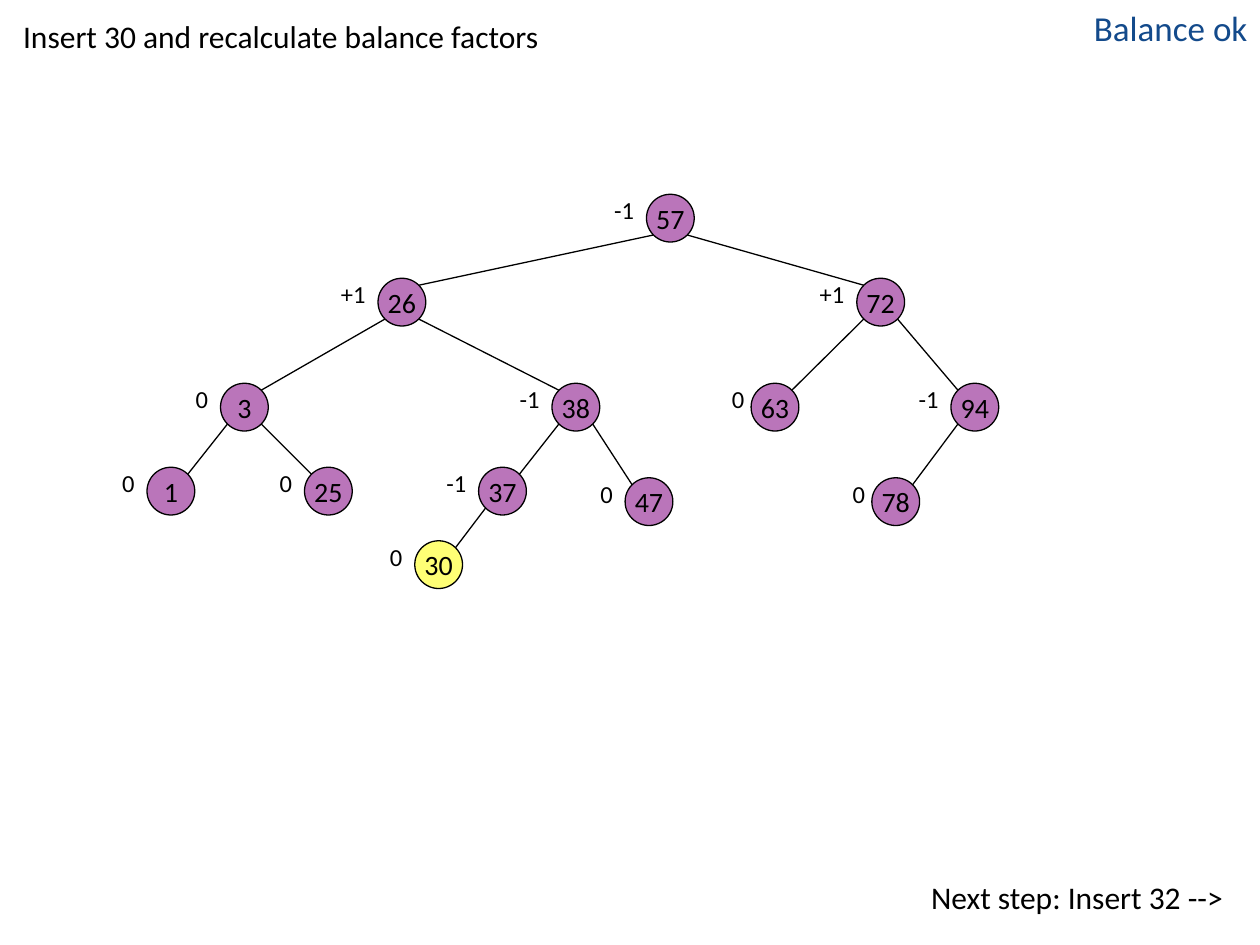
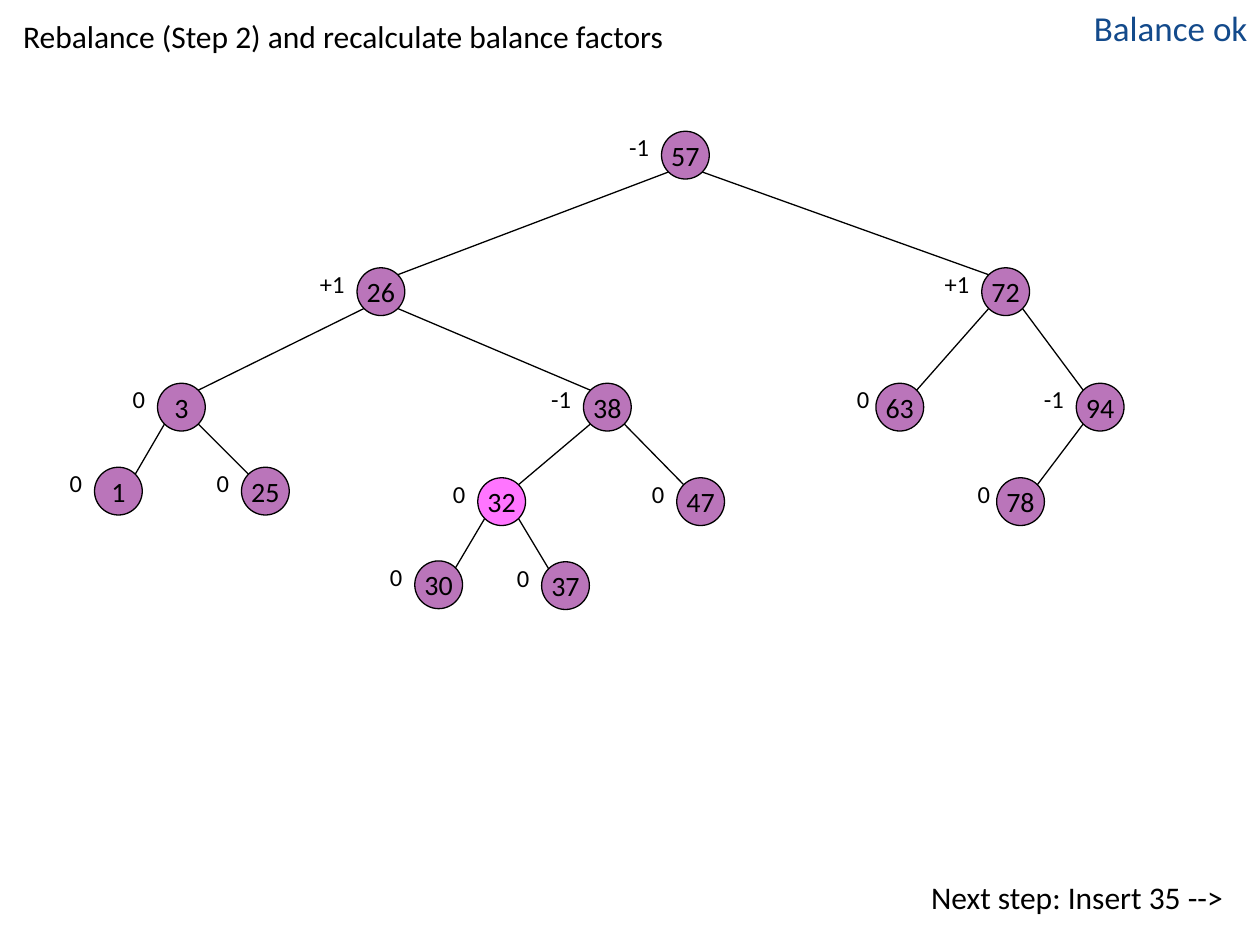
from dataclasses import dataclass

from lxml.etree import SubElement
from pptx import Presentation
from pptx.dml.color import RGBColor
from pptx.enum.shapes import MSO_CONNECTOR, MSO_SHAPE
from pptx.enum.text import MSO_ANCHOR, MSO_AUTO_SIZE, PP_ALIGN
from pptx.oxml.ns import qn
from pptx.util import Pt

BLACK = RGBColor(0x00, 0x00, 0x00)
BLUE = RGBColor(0x13, 0x4A, 0x8B)
PURPLE = RGBColor(0x80, 0x00, 0x80)
YELLOW = RGBColor(0xFF, 0xFF, 0x00)
MAGENTA = RGBColor(0xFF, 0x00, 0xFF)

FONT = "Calibri"
TITLE_ONLY = 5
DIAMETER = 27.3
CORNER = 4  # inset of the circle's diagonal points from its bounding box
NODE_ALPHA = 54
LABEL_RISE = 3
LABEL_HEIGHT = 24
TIGHT_WIDTH = 18  # labels this narrow are aligned left
LABEL_WIDTHS = {
    1: 36, 3: 36, 25: 30, 26: 66, 30: 33, 32: 33, 37: 45,
    38: 51, 47: 45, 57: 84, 63: TIGHT_WIDTH, 72: 48, 78: TIGHT_WIDTH, 94: 42,
}


@dataclass(frozen=True)
class Node:
    key: int
    balance: str
    left: float
    top: float
    parent: int | None = None
    color: RGBColor = PURPLE


@dataclass(frozen=True)
class Step:
    title: str
    next_step: str
    nodes: tuple[Node, ...]


STEPS = (
    Step("Insert 30 and recalculate balance factors", "Next step: Insert 32 -->", (
        Node(57, "-1", 369.4, 111),
        Node(26, "+1", 216, 159, 57),
        Node(72, "+1", 489.6, 159, 57),
        Node(3, "0", 126, 219, 26),
        Node(38, "-1", 315.4, 219, 26),
        Node(63, "0", 429.2, 219, 72),
        Node(94, "-1", 543.4, 219, 72),
        Node(1, "0", 84, 267, 3),
        Node(25, "0", 174, 267, 3),
        Node(37, "-1", 273.5, 267, 38),
        Node(47, "0", 357.2, 273, 38),
        Node(78, "0", 498.2, 273, 94),
        Node(30, "0", 237, 309, 37, YELLOW),
    )),
    Step("Rebalance (Step 2) and recalculate balance factors", "Next step: Insert 35 -->", (
        Node(57, "-1", 378, 75),
        Node(26, "+1", 204, 153, 57),
        Node(72, "+1", 561, 153, 57),
        Node(3, "0", 90, 219, 26),
        Node(38, "-1", 333.4, 219, 26),
        Node(63, "0", 500.5, 219, 72),
        Node(94, "-1", 615, 219, 72),
        Node(1, "0", 54, 267, 3),
        Node(25, "0", 138, 267, 3),
        Node(32, "0", 273, 273, 38, MAGENTA),
        Node(47, "0", 386.7, 273, 38),
        Node(78, "0", 569.5, 273, 94),
        Node(30, "0", 237, 320.5, 32),
        Node(37, "0", 309.5, 321, 32),
    )),
)


def write(shape, text: str, size: float, align=PP_ALIGN.LEFT, color: RGBColor = BLACK) -> None:
    para = shape.text_frame.paragraphs[0]
    para.alignment = align
    span = para.add_run()
    span.text = text
    span.font.name = FONT
    span.font.size = Pt(size)
    span.font.color.rgb = color


def add_text(shapes, left: float, top: float, width: float, height: float,
             text: str, size: float, align=PP_ALIGN.RIGHT, color: RGBColor = BLACK) -> None:
    box = shapes.add_textbox(Pt(left), Pt(top), Pt(width), Pt(height))
    box.text_frame.word_wrap = True
    write(box, text, size, align, color)


def add_title(page, text: str) -> None:
    title = page.shapes.title
    title.left, title.top, title.width, title.height = Pt(6), Pt(6), Pt(714), Pt(36)
    frame = title.text_frame
    frame.vertical_anchor = MSO_ANCHOR.TOP
    frame.auto_size = MSO_AUTO_SIZE.NONE
    write(title, text, 18)


def add_edge(page, parent: Node, child: Node) -> None:
    """Join the parent's lower diagonal point to the child's facing upper one."""
    near, far = CORNER, DIAMETER - CORNER
    start, end = (near, far) if child.left < parent.left else (far, near)
    edge = page.shapes.add_connector(
        MSO_CONNECTOR.STRAIGHT,
        Pt(parent.left + start), Pt(parent.top + far),
        Pt(child.left + end), Pt(child.top + near))
    edge.line.color.rgb = BLACK
    edge.line.width = Pt(0.75)
    SubElement(edge._element.spPr, qn("a:effectLst"))


def add_node(page, node: Node) -> None:
    shapes = page.shapes.add_group_shape().shapes
    circle = shapes.add_shape(MSO_SHAPE.OVAL, Pt(node.left), Pt(node.top),
                              Pt(DIAMETER), Pt(DIAMETER))
    circle.shadow.inherit = False
    circle.fill.solid()
    circle.fill.fore_color.rgb = node.color
    color = circle._element.spPr.find(qn("a:solidFill"))[0]
    SubElement(color, qn("a:alpha"), val=str(NODE_ALPHA * 1000))
    circle.line.color.rgb = BLACK
    circle.line.width = Pt(0.75)
    circle.text_frame.word_wrap = False
    circle.text_frame.vertical_anchor = MSO_ANCHOR.MIDDLE
    write(circle, str(node.key), 16, PP_ALIGN.CENTER)

    # Balance factor to the left of the circle
    width = LABEL_WIDTHS[node.key]
    align = PP_ALIGN.LEFT if width == TIGHT_WIDTH else PP_ALIGN.RIGHT
    add_text(shapes, node.left - width, node.top - LABEL_RISE, width, LABEL_HEIGHT,
             node.balance, 14, align)


def add_step(deck, step: Step) -> None:
    page = deck.slides.add_slide(deck.slide_layouts[TITLE_ONLY])
    add_title(page, step.title)
    add_text(page.shapes, 0, 498, 706, 36, step.next_step, 18)
    add_text(page.shapes, 528, 0, 192, 31, "Balance ok", 20, color=BLUE)

    # Edges lie behind the nodes
    by_key = {node.key: node for node in step.nodes}
    for node in step.nodes:
        if node.parent is not None:
            add_edge(page, by_key[node.parent], node)
    for node in step.nodes:
        add_node(page, node)


def main() -> None:
    deck = Presentation()
    deck.slide_width, deck.slide_height = Pt(720), Pt(540)
    for step in STEPS:
        add_step(deck, step)
    deck.save("out.pptx")


if __name__ == "__main__":
    main()
